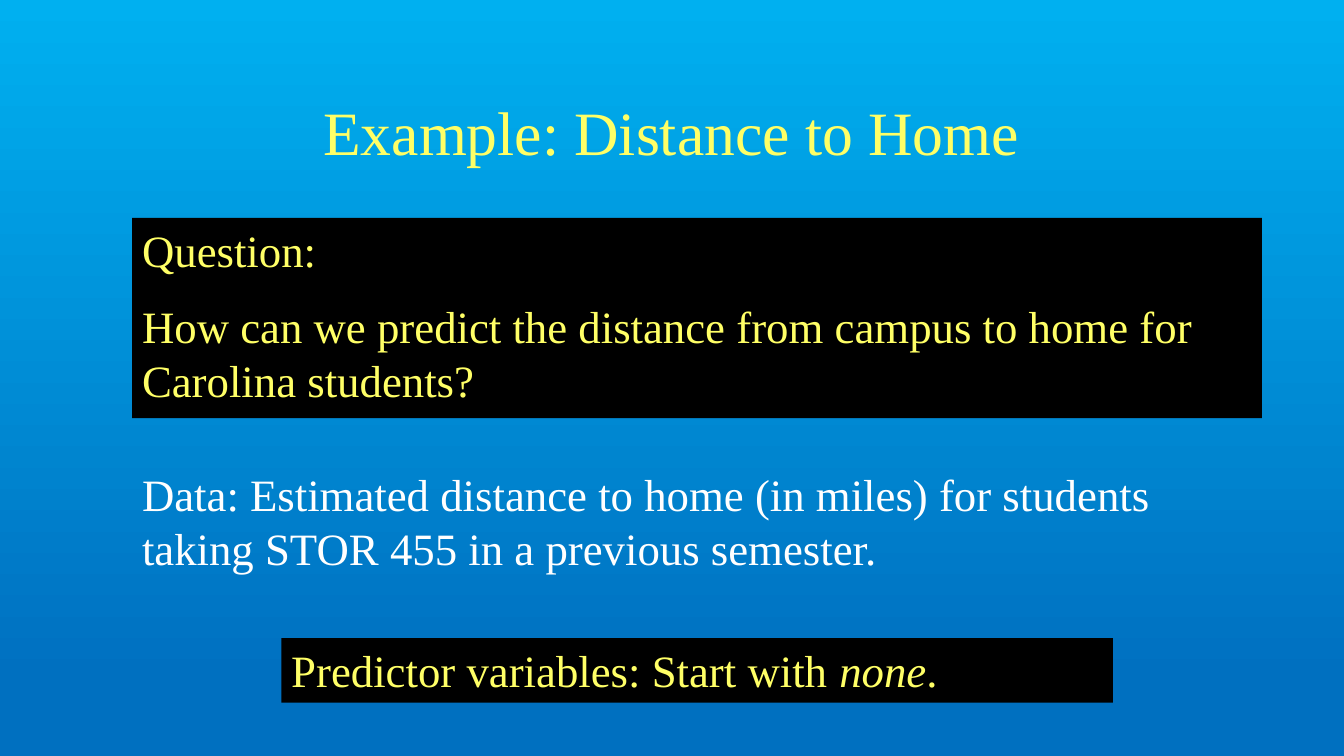
from pptx import Presentation
from pptx.dml.color import RGBColor
from pptx.enum.text import MSO_ANCHOR, PP_ALIGN
from pptx.util import Cm, Pt

INK = {"gold": "FFFF66", "white": "FFFFFF", "black": "000000",
       "sky": "00B0F0", "deep": "0070C0"}
FONT = "Times New Roman"
SKY = [(0, "sky"), (0.9, "deep")]

TITLE = {"at": (2.54, 1.7, 28.78, 3.18), "ink": "gold", "size": 44,
         "lines": [[("Example: Distance to Home", False)]]}
NOTES = [
    {"at": (3.33, 5.49, 28.47, 5.05), "ink": "gold", "fill": "black",
     "lines": [[("Question:", False)],
               [("How can we predict the distance from campus to home "
                 "for Carolina students?", False)]]},
    {"at": (3.33, 11.63, 28.47, 3), "ink": "white",
     "lines": [[("Data: Estimated distance to home (in miles) for students "
                 "taking STOR 455 in a previous semester.", False)]]},
    {"at": (7.09, 16.08, 20.96, 1.63), "ink": "gold", "fill": "black",
     "lines": [[("Predictor variables: Start with ", False),
                ("none", True), (".", False)]]},
]


def color(name):
    return RGBColor.from_string(INK[name])


def add_note(slide, note):
    box = slide.shapes.add_textbox(*map(Cm, note["at"]))
    if "fill" in note:
        box.fill.solid()
        box.fill.fore_color.rgb = color(note["fill"])
    frame = box.text_frame
    frame.word_wrap = True
    for i, line in enumerate(note["lines"]):
        para = frame.add_paragraph() if i else frame.paragraphs[0]
        if i:
            para.space_before = Pt(16)
        for text, slant in line:
            run = para.add_run()
            run.text = text
            run.font.name = FONT
            run.font.size = Pt(note.get("size", 32))
            run.font.italic = slant
            run.font.color.rgb = color(note["ink"])
    return frame


def main():
    deck = Presentation()
    deck.slide_width, deck.slide_height = Cm(33.87), Cm(19.05)
    slide = deck.slides.add_slide(deck.slide_layouts[6])
    back = slide.background.fill
    back.gradient()
    back.gradient_angle = 270
    for stop, (place, name) in zip(back.gradient_stops, SKY):
        stop.position = place
        stop.color.rgb = color(name)
    head = add_note(slide, TITLE)
    head.vertical_anchor = MSO_ANCHOR.MIDDLE
    head.paragraphs[0].alignment = PP_ALIGN.CENTER
    for note in NOTES:
        add_note(slide, note)
    deck.save("out.pptx")


if __name__ == "__main__":
    main()
